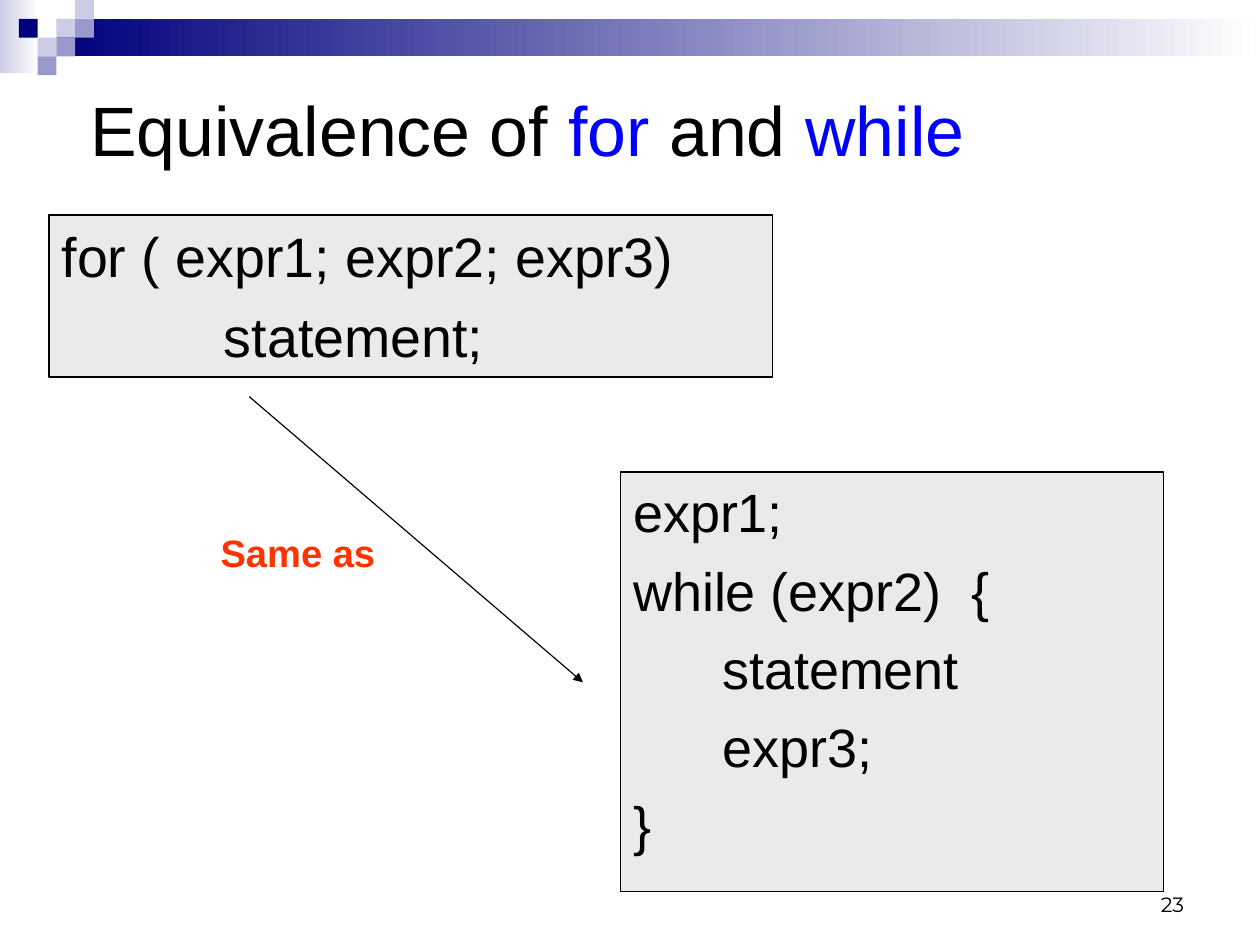
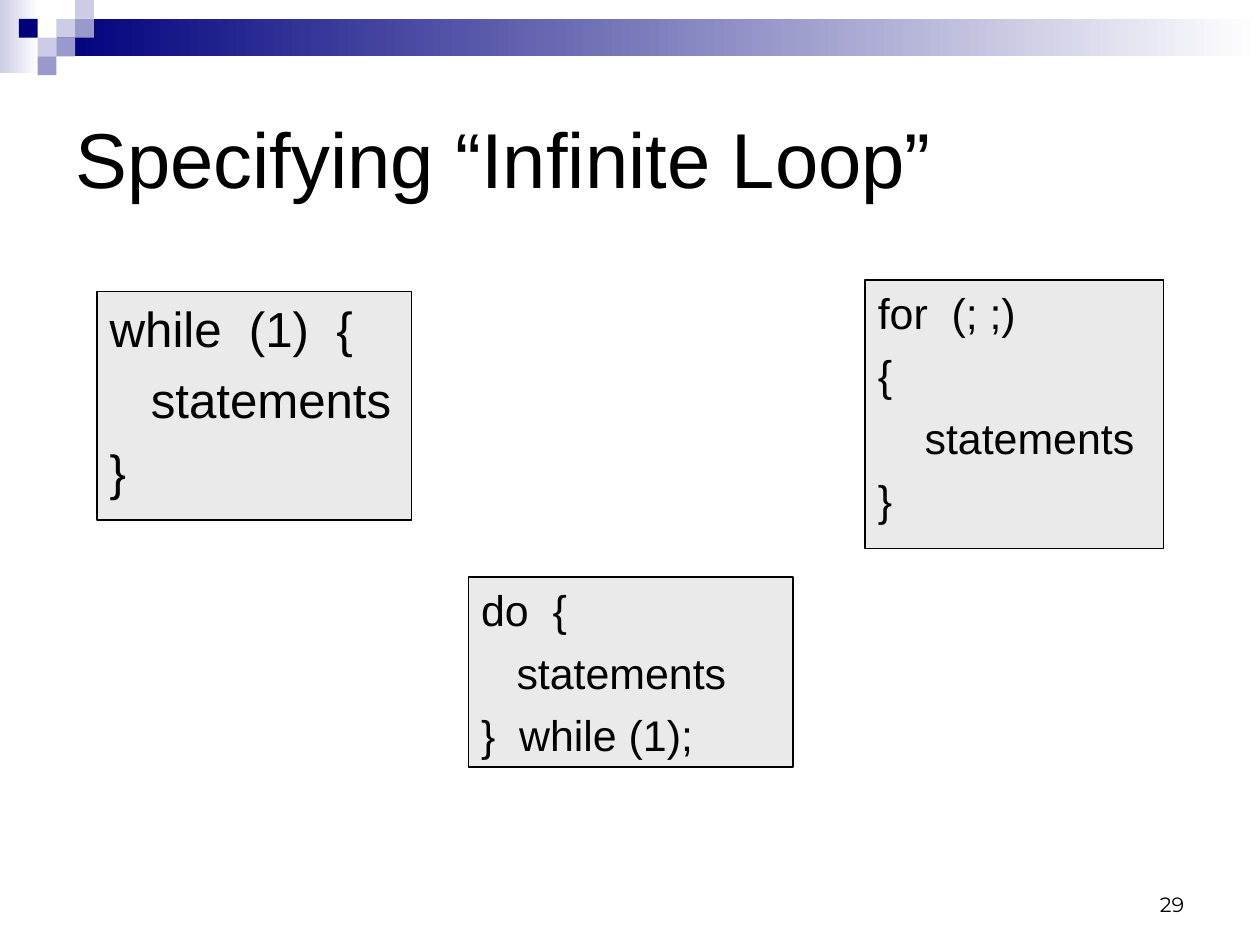
from lxml.etree import SubElement
from pptx import Presentation
from pptx.dml.color import RGBColor
from pptx.enum.shapes import MSO_CONNECTOR, MSO_SHAPE
from pptx.enum.text import MSO_ANCHOR, MSO_AUTO_SIZE, PP_ALIGN
from pptx.oxml.ns import qn
from pptx.util import Cm, Inches, Pt

WIDTH, HEIGHT = Cm(28), Cm(21)
W, H = WIDTH.inches, HEIGHT.inches
UNIT = W / 67
COLORS = {"black": "000000", "white": "FFFFFF", "navy": "00007D", "mid": "9999CC",
          "pale": "CCCCE6", "panel": "EAEAEA", "keyword": "0000FF", "accent": "FF3300"}
INSETS = (0.11, 0.06)

BANDS = [((0, 0, 0.34, 0.64), "pale"), ((0.5, UNIT, W - 0.5, 2 * UNIT), "navy")]
TILES = [(3, 1, "pale"), (4, 0, "pale"), (4, 1, "mid"), (2, 2, "pale"),
         (1, 1, "navy"), (3, 2, "mid"), (2, 3, "mid")]

SLIDES = [
    {"title": [("Equivalence of ", "black"), ("for", "keyword"),
               (" and ", "black"), ("while", "keyword")],
     "title_at": (0.68, 0.3), "size": 44, "number": "23",
     "code": [
         {"at": (5.43, 4.13, 4.75, 3.67), "size": 34, "indent": 0.78,
          "lines": [(0, "expr1;"), (0, "while (expr2)  {"), (1, "statement"),
                    (1, "expr3;"), (0, "}")]},
         {"at": (0.43, 1.88, 6.33, 1.42), "size": 35, "indent": 1.42,
          "lines": [(0, "for ( expr1; expr2; expr3)"), (1, "statement;")]}],
     "arrow": (2.18, 3.47, 5.1, 5.97),
     "label": ("Same as", (1.93, 4.63, 1.67, 0.4))},
    {"title": [("Specifying “Infinite Loop”", "black")],
     "title_at": (0.55, 0.55), "size": 49, "number": "29",
     "code": [
         {"at": (0.85, 2.55, 2.75, 2), "size": 31, "indent": 0.36,
          "lines": [(0, "while  (1)  {"), (1, "statements"), (0, "}")]},
         {"at": (7.57, 2.45, 2.61, 2.35), "size": 27, "indent": 0.41,
          "lines": [(0, "for  (; ;)"), (0, "{"), (1, "statements"), (0, "}")]},
         {"at": (4.1, 5.05, 2.84, 1.66), "size": 27, "indent": 0.31,
          "lines": [(0, "do  {"), (1, "statements"), (0, "}  while (1);")]}]},
]


def rgb(name):
    return RGBColor.from_string(COLORS[name])


def box(at):
    return [Inches(v) for v in at]


def add_run(p, text, size, color="black", **fmt):
    r = p.add_run()
    r.text = text
    r.font.color.rgb = rgb(color)
    for key, value in {"name": "Arial", "size": Pt(size), **fmt}.items():
        setattr(r.font, key, value)


def frame(sp, anchor=MSO_ANCHOR.TOP, insets=INSETS):
    tf = sp.text_frame
    x, y = box(insets)
    fmt = {"word_wrap": True, "auto_size": MSO_AUTO_SIZE.NONE, "vertical_anchor": anchor,
           "margin_left": x, "margin_right": x, "margin_top": y, "margin_bottom": y}
    for key, value in fmt.items():
        setattr(tf, key, value)
    tf.paragraphs[0].alignment = PP_ALIGN.LEFT
    return tf


def add_rect(s, at, fill, line=None):
    sp = s.shapes.add_shape(MSO_SHAPE.RECTANGLE, *box(at))
    sp.shadow.inherit = False
    sp.fill.solid()
    sp.fill.fore_color.rgb = rgb(fill)
    if line:
        sp.line.color.rgb = rgb(line)
        sp.line.width = Pt(1)
    else:
        sp.line.fill.background()
    return sp


def decorate_master(prs, s):
    shapes = []
    for at, color in BANDS:
        sp = add_rect(s, at, color)
        sp.fill.gradient()
        sp.fill.gradient_angle = 0
        for stop, name in zip(sp.fill.gradient_stops, (color, "white")):
            stop.color.rgb = rgb(name)
        shapes.append(sp)
    for col, row, color in TILES:
        shapes.append(add_rect(s, (col * UNIT, row * UNIT, UNIT, UNIT), color))
    first = prs.slide_master.placeholders[0].element
    for sp in shapes:
        first.addprevious(sp.element)


def add_title(s, runs, at, size):
    sp = s.shapes.title
    sp.left, sp.top, sp.width, sp.height = box((*at, 0.9 * W, 0.2 * H))
    p = frame(sp, MSO_ANCHOR.MIDDLE).paragraphs[0]
    for text, color in runs:
        add_run(p, text, size, color)


def add_code(s, at, size, indent, lines):
    tf = frame(add_rect(s, at, "panel", "black"))
    for i, (level, text) in enumerate(lines):
        p = tf.add_paragraph() if i else tf.paragraphs[0]
        p.alignment = PP_ALIGN.LEFT
        p.space_before = Pt(size / 4)
        p._p.get_or_add_pPr().set("marL", str(Inches(level * indent)))
        add_run(p, text, size)


def add_arrow(s, ends):
    line = s.shapes.add_connector(MSO_CONNECTOR.STRAIGHT, *box(ends))
    line.line.color.rgb = rgb("black")
    line.line.width = Pt(0.75)
    SubElement(line.line._get_or_add_ln(), qn("a:tailEnd"), type="triangle")
    SubElement(line.element.spPr, qn("a:effectLst"))


def add_label(s, text, at):
    tf = frame(s.shapes.add_textbox(*box(at)), insets=(0, 0))
    add_run(tf.paragraphs[0], text, 24, "accent", bold=True)


def add_number(s, text):
    sp = s.shapes.add_textbox(*box((7.9, 7.53, 2.57, 0.55)))
    p = frame(sp, MSO_ANCHOR.BOTTOM).paragraphs[0]
    p.alignment = PP_ALIGN.RIGHT
    add_run(p, text, 13, name="Montserrat")


def main():
    prs = Presentation()
    prs.slide_width, prs.slide_height = WIDTH, HEIGHT
    for i, data in enumerate(SLIDES):
        s = prs.slides.add_slide(prs.slide_layouts[5])
        if i == 0:
            decorate_master(prs, s)
        add_number(s, data["number"])
        add_title(s, data["title"], data["title_at"], data["size"])
        for code in data["code"]:
            add_code(s, **code)
        if "arrow" in data:
            add_arrow(s, data["arrow"])
            add_label(s, *data["label"])
    prs.save("out.pptx")


if __name__ == "__main__":
    main()
